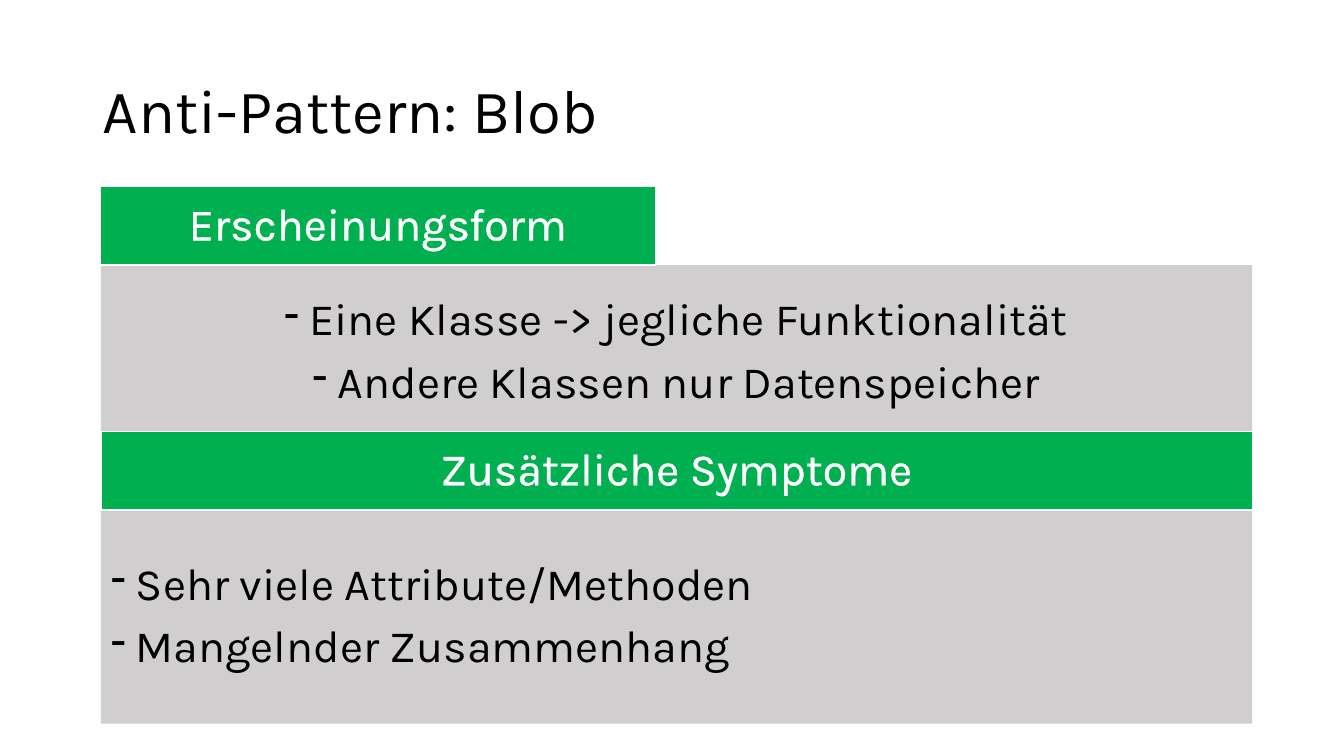
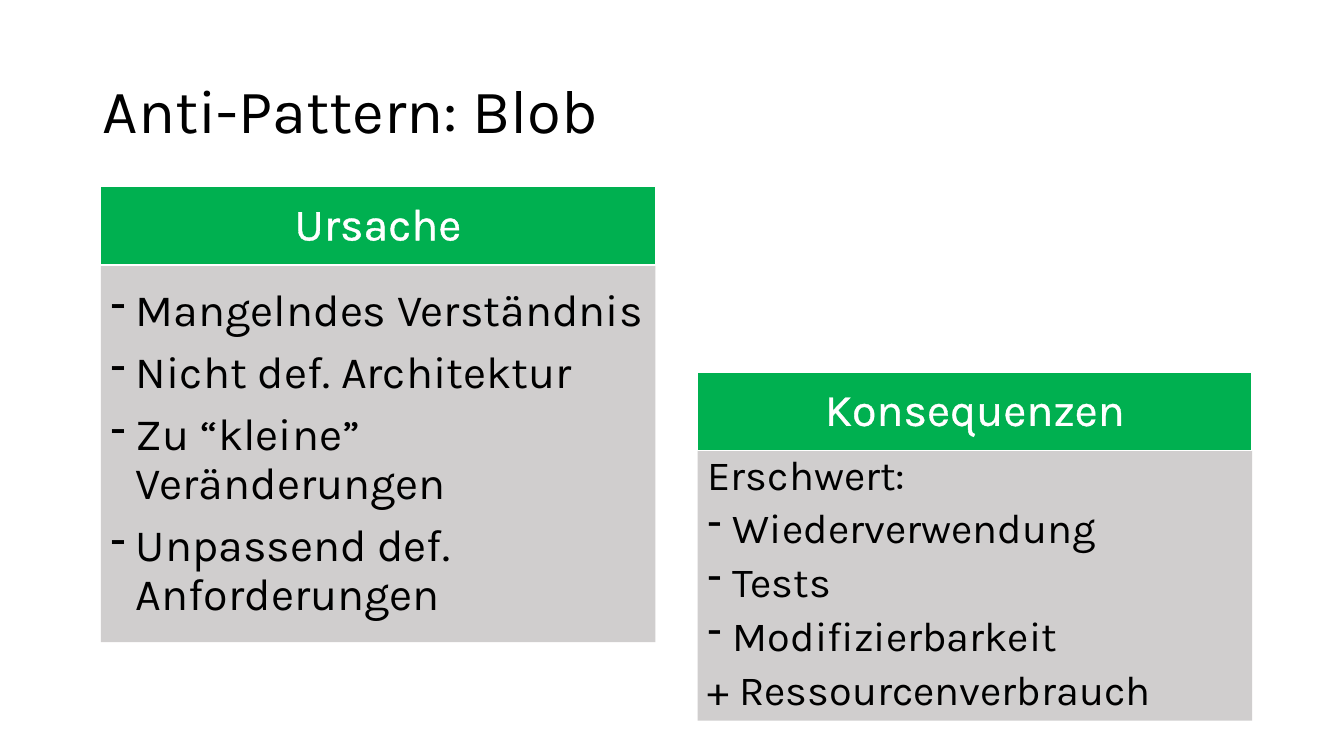
from lxml import etree
from pptx import Presentation
from pptx.dml.color import RGBColor
from pptx.enum.shapes import MSO_SHAPE
from pptx.enum.text import MSO_ANCHOR, PP_ALIGN
from pptx.oxml.ns import qn
from pptx.util import Inches, Pt

GREEN = RGBColor(0x00, 0xB0, 0x50)
GREY = RGBColor(0xD0, 0xCE, 0xCE)
BLACK = RGBColor(0x00, 0x00, 0x00)
WHITE = RGBColor(0xFF, 0xFF, 0xFF)
FONT = "Karla"
HEADER_HEIGHT = 0.78
INDENT = Inches(0.25)
LEFT, RIGHT = 1, 6.92
HALF, FULL = 5.5, 11.42

# Each section: heading, left, top, header width, body width, body height,
# body alignment, text size, line spacing, top inset, lines ("- " makes a bullet)
SLIDES = [
    [
        ("Erscheinungsform", LEFT, 1.85, HALF, FULL, 1.66, PP_ALIGN.CENTER, 32, 0.9, 0.12,
         ["- Eine Klasse -> jegliche Funktionalität", "- Andere Klassen nur Datenspeicher"]),
        ("Zusätzliche Symptome", LEFT, 4.28, FULL, FULL, 2.12, PP_ALIGN.LEFT, 32, 0.9, 0.05,
         ["- Sehr viele Attribute/Methoden", "- Mangelnder Zusammenhang"]),
    ],
    [
        ("Ursache", LEFT, 1.85, HALF, HALF, 3.74, PP_ALIGN.LEFT, 32, 0.9, 0.05,
         ["- Mangelndes Verständnis", "- Nicht def. Architektur",
          "- Zu “kleine” Veränderungen", "- Unpassend def. Anforderungen"]),
        ("Konsequenzen", RIGHT, 3.69, HALF, HALF, 2.68, PP_ALIGN.LEFT, 29.6, 0.8, 0.05,
         ["Erschwert:", "- Wiederverwendung", "- Tests", "- Modifizierbarkeit",
          "+ Ressourcenverbrauch"]),
    ],
]


def add_box(slide, left, top, width, height, fill):
    box = slide.shapes.add_shape(MSO_SHAPE.RECTANGLE, Inches(left), Inches(top),
                                 Inches(width), Inches(height))
    box.shadow.inherit = False
    box.fill.solid()
    box.fill.fore_color.rgb = fill
    box.text_frame.word_wrap = True
    box.text_frame.vertical_anchor = MSO_ANCHOR.MIDDLE
    return box


def write_line(paragraph, line, size, color, align, line_spacing=0.9, space_before=10):
    """Fill and format a paragraph; a leading "- " becomes a hanging dash bullet."""
    paragraph.text = line.removeprefix("- ")
    if line.startswith("- "):
        properties = paragraph._p.get_or_add_pPr()
        properties.set("marL", str(INDENT))
        properties.set("indent", str(-INDENT))
        etree.SubElement(properties, qn("a:buFontTx"))
        etree.SubElement(properties, qn("a:buChar"), char="-")
    paragraph.alignment = align
    paragraph.line_spacing = line_spacing
    paragraph.space_before = Pt(space_before)
    paragraph.font.name = FONT
    paragraph.font.size = Pt(size)
    paragraph.font.color.rgb = color


prs = Presentation()
prs.slide_width, prs.slide_height = Inches(13.33), Inches(7.5)

for sections in SLIDES:
    slide = prs.slides.add_slide(prs.slide_layouts[5])
    title = slide.shapes.title
    title.left, title.top = Inches(0.92), Inches(0.4)
    title.width, title.height = Inches(11.5), Inches(1.45)
    title.text_frame.vertical_anchor = MSO_ANCHOR.MIDDLE
    write_line(title.text_frame.paragraphs[0], "Anti-Pattern: Blob", 44, BLACK,
               PP_ALIGN.LEFT, space_before=0)

    for (heading, left, top, header_width, body_width, body_height,
         align, size, line_spacing, top_inset, lines) in sections:
        body = add_box(slide, left, top + HEADER_HEIGHT, body_width, body_height, GREY)
        body.line.fill.background()
        frame = body.text_frame
        frame.margin_top = Inches(top_inset)
        for index, line in enumerate(lines):
            paragraph = frame.add_paragraph() if index else frame.paragraphs[0]
            write_line(paragraph, line, size, BLACK, align, line_spacing)

        header = add_box(slide, left, top, header_width, HEADER_HEIGHT, GREEN)
        header.line.color.rgb = WHITE
        header.line.width = Pt(1)
        paragraph = header.text_frame.paragraphs[0]
        write_line(paragraph, heading, 32, WHITE, PP_ALIGN.CENTER)
        # Thin white outline around the heading's letters
        outline = etree.Element(qn("a:ln"), w="0")
        outline_fill = etree.SubElement(outline, qn("a:solidFill"))
        etree.SubElement(outline_fill, qn("a:srgbClr"), val=str(WHITE))
        paragraph.runs[0]._r.get_or_add_rPr().insert(0, outline)

prs.save("out.pptx")
